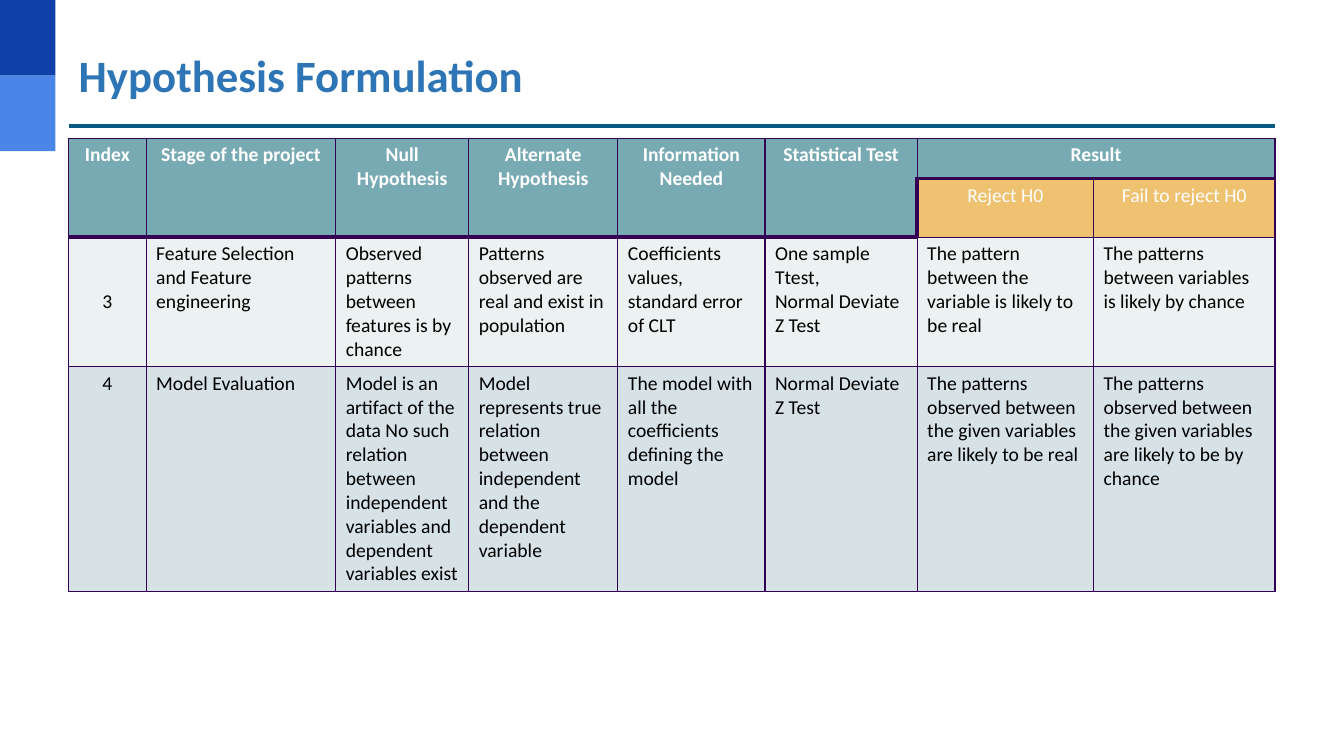
from lxml.etree import SubElement
from pptx import Presentation
from pptx.dml.color import RGBColor
from pptx.enum.shapes import MSO_CONNECTOR, MSO_SHAPE
from pptx.enum.text import MSO_ANCHOR, PP_ALIGN
from pptx.oxml import parse_xml
from pptx.oxml.ns import nsdecls, qn
from pptx.util import Pt

FONT = "Calibri"
TITLE = "Hypothesis Formulation"
HEADERS = ["Index", "Stage of the project", "Null Hypothesis", "Alternate Hypothesis",
           "Information Needed", "Statistical Test", "Result", ""]
RESULTS = [""] * 6 + ["Reject H0", "Fail to reject H0"]
STAGES = [
    ["3", "Feature Selection and Feature engineering",
     "Observed patterns between features is by chance",
     "Patterns observed are real and exist in population",
     "Coefficients values, standard error of CLT",
     "One sample Ttest,\nNormal Deviate Z Test",
     "The pattern between the variable is likely to be real",
     "The patterns between variables is likely by chance"],
    ["4", "Model Evaluation",
     "Model is an artifact of the data No such relation between independent "
     "variables and dependent variables exist",
     "Model represents true relation between independent and the dependent variable",
     "The model with all the coefficients defining the model",
     "Normal Deviate Z Test",
     "The patterns observed between the given variables are likely to be real",
     "The patterns observed between the given variables are likely to be by chance"],
]
ROWS = [HEADERS, RESULTS] + STAGES
COL_WIDTHS = [55.4, 135.4, 95, 106.6, 105.1, 108.7, 126, 129.6]
ROW_HEIGHTS = [28.8, 41.8, 92.2, 161]
HEADER_FILL, RESULT_FILL, STAGE_FILLS = "78AAB3", "EEC270", ["ECF1F2", "D6E2E5"]
BORDER = "340053"
SIDE_BLOCKS = ["0F3FA8", "4A86E8"]
BLOCK_W, BLOCK_H = 39.6, 54
LEFT, WIDTH = 49, sum(COL_WIDTHS)
RESULT_COL = 6


def rgb(value):
    return RGBColor.from_string(value)


def style(p, size, color, bold, align):
    p.alignment = align
    for r in p.runs:
        r.font.name, r.font.size, r.font.bold = FONT, Pt(size), bold
        r.font.color.rgb = rgb(color)


def thick_sides(row, col):
    """Return the sides that separate headers from what lies below them."""
    if row == 0:
        return "B"
    if row == 1:
        return "B" if col < RESULT_COL else "LT" if col == RESULT_COL else "T"
    return "T" if row == 2 and col < RESULT_COL else ""


def set_borders(cell, thick):
    tc_pr = cell._tc.get_or_add_tcPr()
    for i, side in enumerate("LRTB"):
        width = Pt(3 if side in thick else 1)
        ln = parse_xml(f'<a:ln{side} {nsdecls("a")} w="{width}"><a:solidFill>'
                       f'<a:srgbClr val="{BORDER}"/></a:solidFill></a:ln{side}>')
        tc_pr.insert(i, ln)


def cell_fill(row, col):
    if row > 1:
        return STAGE_FILLS[row - 2]
    return RESULT_FILL if row == 1 and col >= RESULT_COL else HEADER_FILL


def add_side_blocks(slide):
    for i, color in enumerate(SIDE_BLOCKS):
        sp = slide.shapes.add_shape(MSO_SHAPE.RECTANGLE, 0, Pt(i * BLOCK_H),
                                    Pt(BLOCK_W), Pt(BLOCK_H))
        sp.shadow.inherit = False
        sp.fill.solid()
        sp.fill.fore_color.rgb = rgb(color)
        sp.line.fill.background()


def add_title(slide):
    sp = slide.shapes.title
    sp.left, sp.top, sp.width, sp.height = Pt(LEFT), Pt(31), Pt(WIDTH), Pt(49.7)
    tf = sp.text_frame
    tf.text = TITLE
    tf.vertical_anchor = MSO_ANCHOR.MIDDLE
    tf.paragraphs[0].line_spacing = 0.9
    style(tf.paragraphs[0], 32, "2E75B6", True, PP_ALIGN.LEFT)
    rule = slide.shapes.add_connector(MSO_CONNECTOR.STRAIGHT, Pt(LEFT), Pt(90),
                                      Pt(LEFT + WIDTH), Pt(90))
    rule.line.color.rgb = rgb("095A82")
    rule.line.width = Pt(2.25)
    SubElement(rule._element.spPr, qn("a:effectLst"))


def add_hypothesis_table(slide):
    table = slide.shapes.add_table(len(ROWS), len(COL_WIDTHS), Pt(LEFT), Pt(98.8),
                                   Pt(WIDTH), Pt(sum(ROW_HEIGHTS))).table
    table.first_row = table.horz_banding = False
    for column, width in zip(table.columns, COL_WIDTHS):
        column.width = Pt(width)
    for table_row, height in zip(table.rows, ROW_HEIGHTS):
        table_row.height = Pt(height)
    for row, texts in enumerate(ROWS):
        for col, text in enumerate(texts):
            cell = table.cell(row, col)
            cell.text = text
            cell.fill.solid()
            cell.fill.fore_color.rgb = rgb(cell_fill(row, col))
            set_borders(cell, thick_sides(row, col))
            centred = row < 2 or col == 0
            for p in cell.text_frame.paragraphs:
                style(p, 14, "FFFFFF" if row < 2 else "000000", row == 0,
                      PP_ALIGN.CENTER if centred else PP_ALIGN.LEFT)
    table.cell(2, 0).vertical_anchor = MSO_ANCHOR.MIDDLE
    for col in range(RESULT_COL):
        table.cell(0, col).merge(table.cell(1, col))
    table.cell(0, RESULT_COL).merge(table.cell(0, RESULT_COL + 1))


def main():
    prs = Presentation()
    prs.slide_width, prs.slide_height = Pt(960), Pt(540)
    slide = prs.slides.add_slide(prs.slide_layouts[5])
    add_side_blocks(slide)
    add_title(slide)
    add_hypothesis_table(slide)
    prs.save("out.pptx")


if __name__ == "__main__":
    main()
